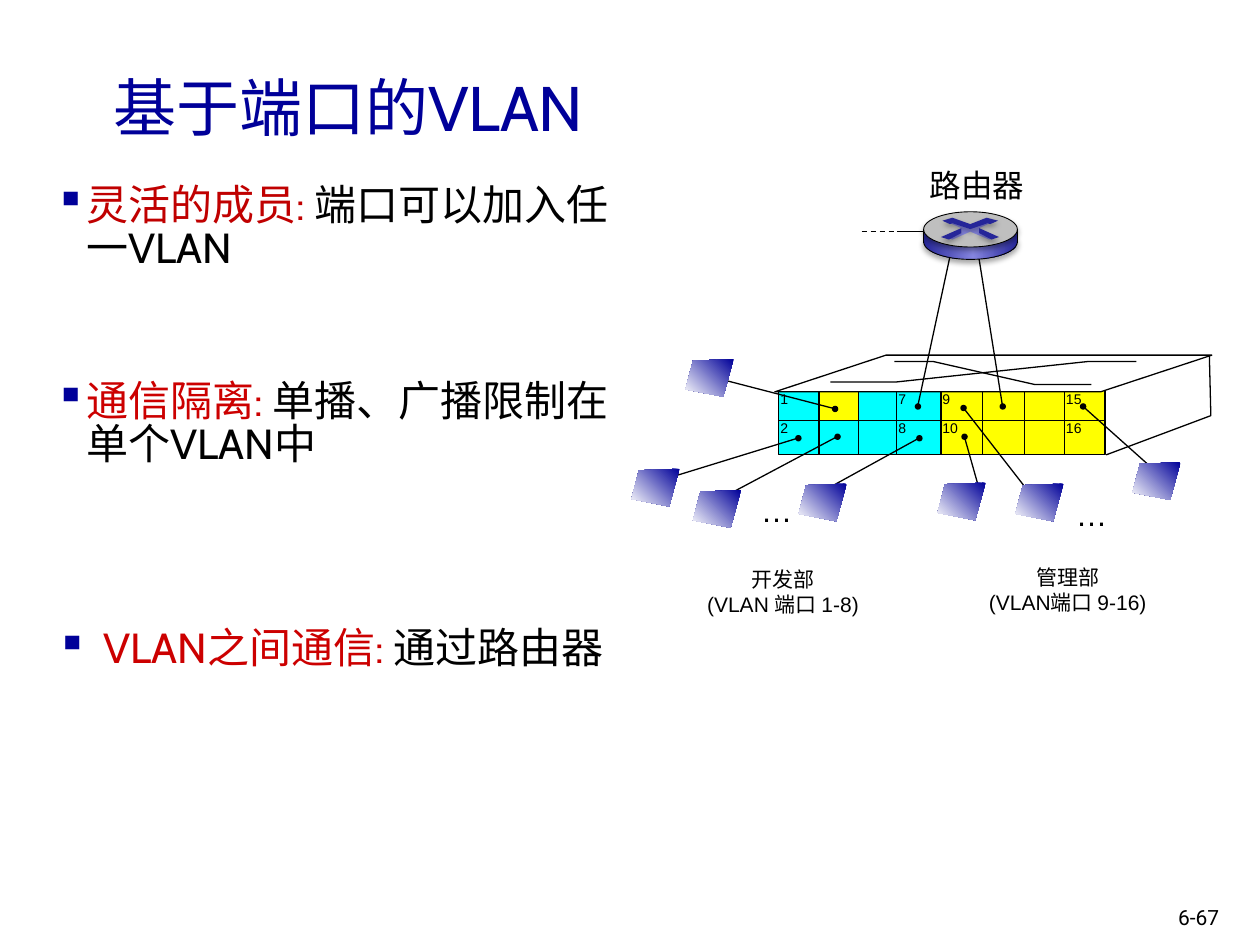
from copy import deepcopy

from lxml import etree
from pptx import Presentation
from pptx.dml.color import RGBColor
from pptx.enum.dml import MSO_LINE
from pptx.enum.shapes import MSO_CONNECTOR, MSO_SHAPE
from pptx.enum.text import MSO_ANCHOR, MSO_AUTO_SIZE, PP_ALIGN
from pptx.oxml.ns import qn
from pptx.util import Cm, Pt

RECT, OVAL, SLANT = MSO_SHAPE.RECTANGLE, MSO_SHAPE.OVAL, MSO_SHAPE.PARALLELOGRAM
STRAIGHT, DASH = MSO_CONNECTOR.STRAIGHT, MSO_LINE.DASH
MIDDLE, CENTER, GROW = MSO_ANCHOR.MIDDLE, PP_ALIGN.CENTER, MSO_AUTO_SIZE.SHAPE_TO_FIT_TEXT

BLACK = RGBColor(0, 0, 0)
WHITE = RGBColor(255, 255, 255)
NAVY = RGBColor(0, 0, 0x99)
DARK_RED = RGBColor(0xC0, 0, 0)
RED = RGBColor(0xCC, 0, 0)
CYAN = RGBColor(0, 255, 255)
YELLOW = RGBColor(255, 255, 0)
GREY = RGBColor(0xBF, 0xBF, 0xBF)
INDIGO = RGBColor(0x26, 0x26, 0x99)
LILAC = RGBColor(0x85, 0x85, 0xE0)

PC_STOPS = [(0, NAVY), (1, WHITE)]
ROUTER_STOPS = [(0, INDIGO), (0.53, LILAC), (1, INDIGO)]

COLUMNS = [15.7, 16.51, 17.3, 18.08, 18.97, 19.81, 20.65, 21.46, 22.28]
ROWS = [7.88, 8.48, 9.17]
PORT_LABELS = [("1", 0, 0), ("2", 0, 1), ("7", 3, 0), ("8", 3, 1),
               ("9", 4, 0), ("10", 4, 1), ("15", 7, 0), ("16", 7, 1)]
CABLES = [
    (16.09, 8.83, 13.59, 9.6), (16.88, 8.8, 14.66, 9.98), (18.53, 8.83, 16.66, 9.86),
    (19.44, 8.8, 19.74, 9.86), (19.42, 8.22, 20.75, 9.93), (21.83, 8.19, 23.24, 9.45),
    (16.83, 8.24, 14.63, 7.67), (18.5, 8.19, 19.18, 5.03), (20.21, 8.19, 19.71, 5.05),
]
COMPUTERS = [(12.73, 9.45), (13.97, 9.88), (16.1, 9.75), (18.9, 9.73),
             (20.47, 9.75), (22.83, 9.32), (13.82, 7.24)]
COMPUTER_OUTLINE = [(0.97, 0), (0.15, 0.03), (0, 0.61), (0.76, 0.76)]
SWITCH_LINES = [
    [(22.3, 9.17), (24.41, 8.38), (24.38, 7.16)],
    [(16.74, 7.7), (18.08, 7.7), (21.92, 7.29), (22.91, 7.29)],
    [(18.03, 7.29), (18.82, 7.29), (20.85, 7.75), (22, 7.75)],
]
ROUTER_CROSS = [
    (19.56, 4.67), (19.2, 4.83), (19.1, 4.8), (19.38, 4.7), (19.38, 4.6),
    (19.15, 4.5), (19.23, 4.5), (19.56, 4.62), (19.89, 4.47), (19.96, 4.5),
    (19.74, 4.6), (19.79, 4.72), (20.02, 4.8), (19.94, 4.83),
]
ROUTER_ARROWS = [
    [(19, 4.45), (19.2, 4.39), (19.56, 4.52), (19.89, 4.39), (20.12, 4.45),
     (19.96, 4.52), (19.91, 4.5), (19.56, 4.62), (19.2, 4.5), (19.15, 4.52)],
    [(19.74, 4.6), (20.14, 4.78), (19.99, 4.83), (19.74, 4.7)],
    [(19.38, 4.6), (19.38, 4.7), (19.13, 4.83), (18.97, 4.78)],
]


def set_all(obj, values):
    for name, value in values.items():
        setattr(obj, name, value)


def paint(s, fill=None, line=None, stops=None, angle=0):
    s.shadow.inherit = False
    if stops:
        s.fill.gradient()
        s.fill.gradient_angle = angle
        gs_list = s._element.spPr.find(".//" + qn("a:gsLst"))
        while len(gs_list) < len(stops):
            gs_list.append(deepcopy(gs_list[0]))
        for stop, (position, color) in zip(s.fill.gradient_stops, stops):
            stop.position = position
            stop.color.rgb = color
    elif fill is None:
        s.fill.background()
    else:
        s.fill.solid()
        s.fill.fore_color.rgb = fill
    if line:
        s.line.color.rgb = BLACK
        s.line.width = Pt(line)
    else:
        s.line.fill.background()
    return s


def add_shadow(s):
    effects = s._element.spPr.find(qn("a:effectLst"))
    shadow = etree.SubElement(effects, qn("a:outerShdw"), blurRad=str(Pt(3.1)),
                              dist=str(Pt(1.8)), dir="5400000", rotWithShape="0")
    color = etree.SubElement(shadow, qn("a:srgbClr"), val=str(BLACK))
    etree.SubElement(color, qn("a:alpha"), val="35000")


def add_box(slide, kind, x, y, w, h, **look):
    return paint(slide.shapes.add_shape(kind, Cm(x), Cm(y), Cm(w), Cm(h)), **look)


def add_outline(slide, points, close=True, **look):
    start, *rest = [(Cm(x), Cm(y)) for x, y in points]
    builder = slide.shapes.build_freeform(*start)
    builder.add_line_segments(rest, close=close)
    return paint(builder.convert_to_shape(), **look)


def add_line(slide, x1, y1, x2, y2, width=0.75, dash=None):
    s = slide.shapes.add_connector(STRAIGHT, Cm(x1), Cm(y1), Cm(x2), Cm(y2))
    s.line.color.rgb = BLACK
    set_all(s.line, {"width": Pt(width), "dash_style": dash})
    etree.SubElement(s._element.spPr, qn("a:effectLst"))


def add_bullet(p, indent):
    pPr = p._p.get_or_add_pPr()
    pPr.set("marL", str(Cm(indent)))
    pPr.set("indent", str(-Cm(indent)))
    color = etree.SubElement(pPr, qn("a:buClr"))
    etree.SubElement(color, qn("a:srgbClr"), val=str(NAVY))
    etree.SubElement(pPr, qn("a:buChar"), char="▪")


def add_text(slide, box, paragraphs, size, font="Arial", wrap=False, bullet=None,
             frame=None, layout=None, gap=0):
    tf = slide.shapes.add_textbox(*map(Cm, box)).text_frame
    set_all(tf, {"word_wrap": wrap, **({} if wrap else {"auto_size": GROW}), **(frame or {})})
    for i, runs in enumerate(paragraphs):
        p = tf.add_paragraph() if i else tf.paragraphs[0]
        if bullet:
            add_bullet(p, bullet)
        set_all(p, layout or {})
        if i and gap:
            p.space_before = Pt(gap)
        for text, color, *face in runs:
            r = p.add_run()
            r.text = text
            set_all(r.font, {"size": Pt(size), "name": face[0] if face else font})
            r.font.color.rgb = color


def add_switch(slide):
    top, middle, bottom = ROWS
    left, center, right = COLUMNS[0], COLUMNS[4], COLUMNS[-1]
    for x1, x2, color in [(left, center, CYAN), (center, right, YELLOW)]:
        add_box(slide, RECT, x1, top, x2 - x1, bottom - top, fill=color)
    add_box(slide, RECT, COLUMNS[1], top, COLUMNS[2] - COLUMNS[1], middle - top, fill=YELLOW)
    add_box(slide, RECT, left, top, right - left, bottom - top, line=0.75)
    add_line(slide, left, middle, right, middle)
    for x in COLUMNS[1:-1]:
        add_line(slide, x, top, x, bottom)
    s = add_box(slide, SLANT, 15.62, 7.16, 8.81, 0.74, fill=WHITE, line=0.75)
    s.adjustments[0] = 3.03
    for points in SWITCH_LINES:
        add_outline(slide, points, close=False, line=0.75)
    for text, column, row in PORT_LABELS:
        box = (COLUMNS[column] - 0.22, (7.75, 8.34)[row], 0.32 + 0.17 * (len(text) + 1), 0.58)
        add_text(slide, box, [[(text, BLACK)]], 8)


def add_cables(slide):
    for x, y, end_x, end_y in CABLES:
        add_line(slide, x, y, end_x, end_y)
        add_box(slide, OVAL, x - 0.06, y - 0.06, 0.13, 0.13, fill=BLACK)
    add_line(slide, 18.08, 4.67, 18.8, 4.67)
    add_line(slide, 17.37, 4.67, 18.06, 4.67, dash=DASH)


def add_computer(slide, x, y):
    points = [(x + dx, y + dy) for dx, dy in COMPUTER_OUTLINE]
    add_outline(slide, points, stops=PC_STOPS, angle=225)


def add_router(slide):
    x, w = 18.62, 1.89
    add_shadow(add_box(slide, OVAL, x, 4.52, w, 0.71, stops=ROUTER_STOPS, line=0.5))
    add_box(slide, RECT, x, 4.62, w, 0.25, stops=ROUTER_STOPS)
    add_shadow(add_box(slide, OVAL, x, 4.27, w, 0.71, fill=GREY, line=0.5))
    add_outline(slide, ROUTER_CROSS, fill=LILAC)
    for points in ROUTER_ARROWS:
        add_shadow(add_outline(slide, points, fill=INDIGO))
    for side in (x, x + w):
        add_line(slide, side, 4.62, side, 4.9, width=0.5)


def main():
    prs = Presentation()
    set_all(prs, {"slide_width": Cm(25.4), "slide_height": Cm(19.05)})
    slide = prs.slides.add_slide(prs.slide_layouts[6])
    add_text(slide, (2.03, 0.56, 21.59, 3.18),
             [[("基于端口的", NAVY, "Noto Sans CJK SC"), ("VLAN", NAVY)]],
             36, "Cabin", wrap=True, frame={"vertical_anchor": MIDDLE})
    add_switch(slide)
    add_cables(slide)
    for x, y in COMPUTERS:
        add_computer(slide, x, y)
    add_router(slide)
    body = {"size": 24, "font": "Cabin", "wrap": True, "layout": {"line_spacing": 0.85}}
    add_text(slide, (0.86, 3.63, 11.81, 4.9), [
        [("灵活的成员: ", DARK_RED), ("端口可以加入任一VLAN", BLACK)],
        [("通信隔离: ", RED), ("单播、广播限制在单个VLAN中", BLACK)],
    ], bullet=0.64, gap=63, **body)
    add_text(slide, (0.89, 12.57, 13.89, 4.47),
             [[("VLAN之间通信: ", RED), ("通过路由器", BLACK)]], bullet=0.95, **body)
    add_text(slide, (18.49, 3.23, 2.44, 1.02), [[("路由器", BLACK)]], 18)
    for x, y in [(15.09, 9.78), (21.44, 9.86)]:
        add_text(slide, (x, y, 1.14, 1.02), [[("…", BLACK)]], 18)
    for x, y, w, name, ports in [(19.66, 11.25, 3.73, "管理部", "(VLAN端口 9-16)"),
                                 (13.97, 11.3, 3.63, "开发部", "(VLAN 端口 1-8)")]:
        add_text(slide, (x, y, w, 1.27), [[(name, BLACK)], [(ports, BLACK)]], 12,
                 wrap=True, layout={"alignment": CENTER})
    add_text(slide, (23.5, 18.11, 1.52, 0.76), [[("6-67", BLACK)]], 12, "Roboto", wrap=True)
    prs.save("out.pptx")


if __name__ == "__main__":
    main()
